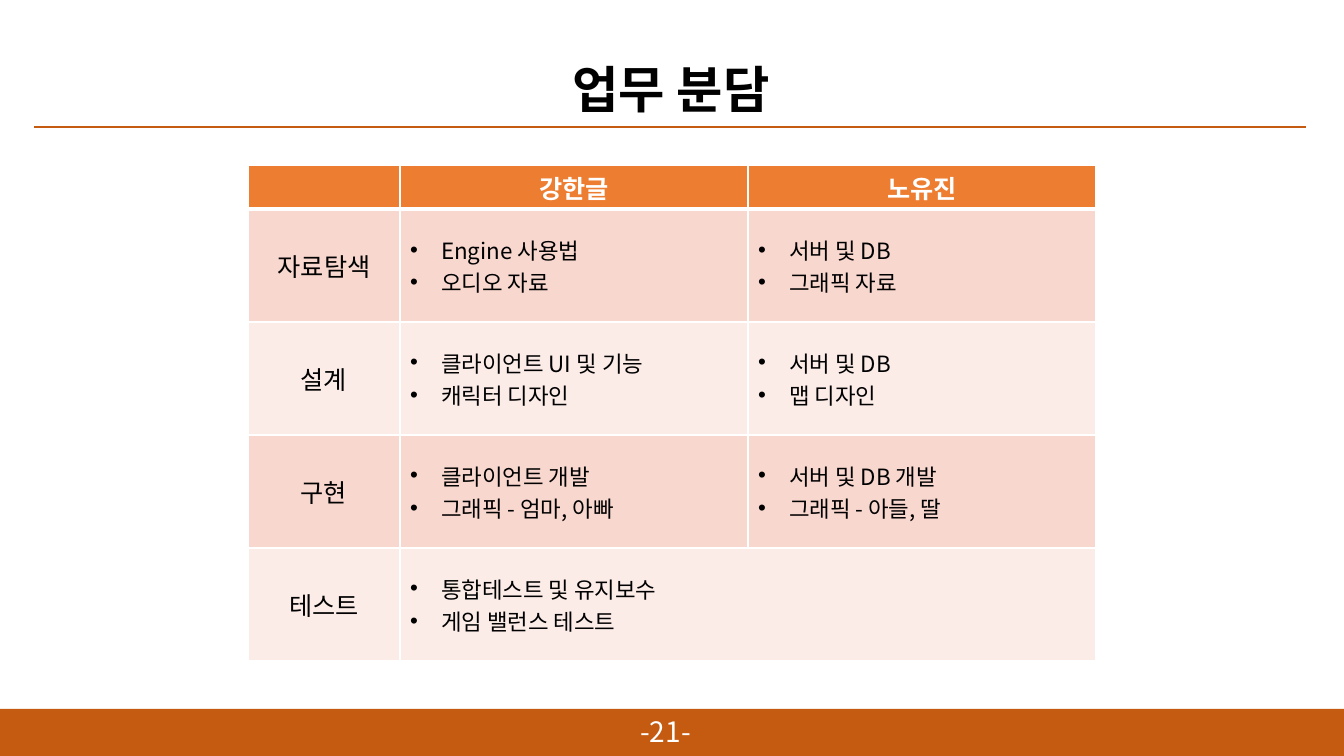
from lxml import etree
from pptx import Presentation
from pptx import util as u
from pptx.dml.color import RGBColor
from pptx.enum import shapes, text
from pptx.oxml import ns

FONT = "Noto Sans CJK KR"
BLACK, WHITE, RUST, ORANGE = "000000", "FFFFFF", "C55A11", "ED7D31"
BANDS = ["F8D7CE", "FCECE8"]


def px(n):
    return u.Emu(round(n * 914400 / 100.8))


def rgb(value):
    return RGBColor.from_string(value)


def sub(parent, tag, **attrs):
    return etree.SubElement(parent, ns.qn(tag), attrs)


def write(p, words, size=18, color=BLACK, bold=False, center=True, bullet=False):
    p.alignment = text.PP_ALIGN.CENTER if center else text.PP_ALIGN.LEFT
    if bullet:
        pPr = p._p.get_or_add_pPr()
        pPr.set("marL", str(px(31)))
        pPr.set("indent", str(-px(31)))
        sub(pPr, "a:buFont", typeface="Arial")
        sub(pPr, "a:buChar", char="•")
    r = p.add_run()
    r.text = words
    r.font.size, r.font.bold, r.font.name = u.Pt(size), bold, FONT
    r.font.color.rgb = rgb(color)
    sub(r._r.get_or_add_rPr(), "a:ea", typeface=FONT)


class Deck:
    """Holds the presentation style and the current slide."""

    def __init__(self, width, height):
        self.prs = Presentation()
        self.prs.slide_width, self.prs.slide_height = px(width), px(height)
        self.s = self.prs.slides.add_slide(self.prs.slide_layouts[5])

    def fit(self, sp, words, **fmt):
        tf = sp.text_frame
        tf.word_wrap = False
        tf.auto_size = text.MSO_AUTO_SIZE.SHAPE_TO_FIT_TEXT
        write(tf.paragraphs[0], words, **fmt)

    def title(self, words, x, y, w, h, **fmt):
        sp = self.s.shapes.title
        sp.left, sp.top, sp.width, sp.height = map(px, (x, y, w, h))
        self.fit(sp, words, **fmt)

    def label(self, words, x, y, w, h, **fmt):
        self.fit(self.s.shapes.add_textbox(*map(px, (x, y, w, h))), words, **fmt)

    def bar(self, x, y, w, h, color):
        sp = self.s.shapes.add_shape(shapes.MSO_SHAPE.RECTANGLE, *map(px, (x, y, w, h)))
        sp.shadow.inherit = False
        sp.fill.solid()
        sp.fill.fore_color.rgb = rgb(color)
        sp.line.fill.background()

    def rule(self, x1, y1, x2, y2, color, width):
        c = self.s.shapes.add_connector(
            shapes.MSO_CONNECTOR.STRAIGHT, *map(px, (x1, y1, x2, y2)))
        c.line.color.rgb, c.line.width = rgb(color), u.Pt(width)
        sub(c._element.spPr, "a:effectLst")

    def cell(self, cell, fill, lines, header=False, **fmt):
        tcPr = cell._tc.get_or_add_tcPr()
        for side in "LRTB":
            width = 3 if header and side == "B" else 1
            ln = sub(tcPr, f"a:ln{side}", w=str(u.Pt(width)))
            sub(sub(ln, "a:solidFill"), "a:srgbClr", val=WHITE)
        cell.fill.solid()
        cell.fill.fore_color.rgb = rgb(fill)
        cell.vertical_anchor = text.MSO_ANCHOR.MIDDLE
        cell.margin_top = cell.margin_bottom = px(3)
        tf = cell.text_frame
        for i, line in enumerate(lines):
            write(tf.add_paragraph() if i else tf.paragraphs[0], line, **fmt)

    def table(self, x, y, widths, heights, names, tasks):
        shape = self.s.shapes.add_table(
            len(heights), len(widths), *map(px, (x, y, sum(widths), sum(heights))))
        tbl = shape.table
        for col, w in zip(tbl.columns, widths):
            col.width = px(w)
        for row, h in zip(tbl.rows, heights):
            row.height = px(h)
        for c, name in enumerate(names):
            self.cell(tbl.cell(0, c), ORANGE, [name] if name else [],
                      header=True, color=WHITE, bold=True)
        for r, (stage, *duties) in enumerate(tasks, 1):
            fill = BANDS[(r - 1) % 2]
            self.cell(tbl.cell(r, 0), fill, [stage])
            for c, lines in enumerate(duties, 1):
                self.cell(tbl.cell(r, c), fill, lines, size=16, center=False, bullet=True)
            if not duties[-1]:
                tbl.cell(r, 1).merge(tbl.cell(r, 2))


def main():
    d = Deck(1344, 756)
    d.title("업무 분담", 550, 52, 242, 72, size=36, bold=True)
    d.bar(0, 709, 1344, 47, RUST)
    d.rule(34, 127, 1306, 127, RUST, 1.5)
    d.table(248, 165, [152, 348, 348], [44] + [113] * 4, ["", "강한글", "노유진"], [
        ("자료탐색", ["Engine 사용법", "오디오 자료"], ["서버 및 DB", "그래픽 자료"]),
        ("설계", ["클라이언트 UI 및 기능", "캐릭터 디자인"], ["서버 및 DB", "맵 디자인"]),
        ("구현", ["클라이언트 개발", "그래픽 - 엄마, 아빠"],
         ["서버 및 DB 개발", "그래픽 - 아들, 딸"]),
        ("테스트", ["통합테스트 및 유지보수", "게임 밸런스 테스트"], []),
    ])
    d.label("-21-", 628, 710, 75, 44, size=20, color=WHITE)
    d.prs.save("out.pptx")


if __name__ == "__main__":
    main()
